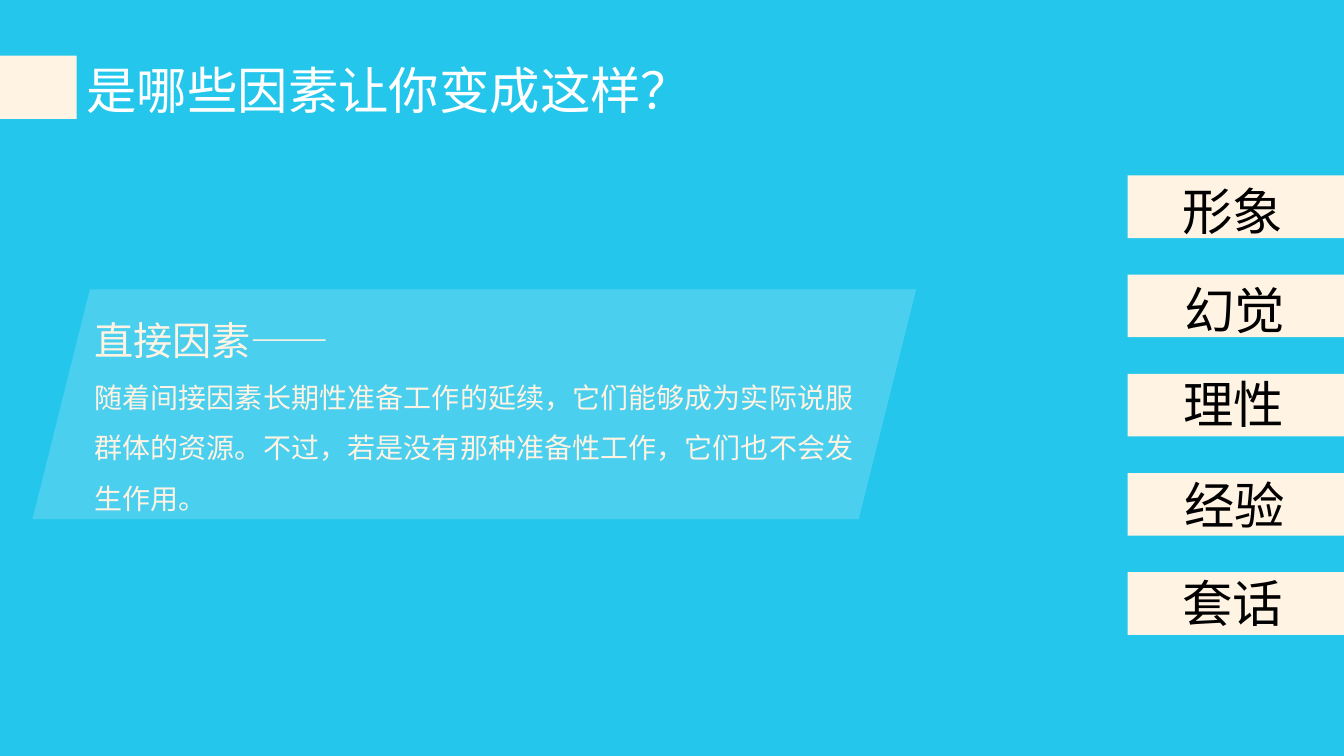
from dataclasses import dataclass

from lxml.etree import SubElement
from pptx import Presentation
from pptx.dml.color import RGBColor
from pptx.enum.shapes import MSO_SHAPE
from pptx.enum.text import MSO_AUTO_SIZE, PP_ALIGN
from pptx.oxml.ns import qn
from pptx.slide import Slide
from pptx.util import Cm, Pt

FONT = "Noto Sans CJK SC"
COLORS = {
    "background": "24C7EB",
    "cream": "FFF3E3",
    "panel": "4ACFEE",
    "white": "FFFFFF",
    "black": "000000",
}
FACTOR_LEFT, FACTOR_TOP, FACTOR_STEP = 28.42, 4.42, 2.5


@dataclass(frozen=True)
class Box:
    """A rectangle on the slide, in centimetres."""
    left: float
    top: float
    width: float
    height: float

    def lengths(self) -> tuple[Cm, Cm, Cm, Cm]:
        return Cm(self.left), Cm(self.top), Cm(self.width), Cm(self.height)


@dataclass(frozen=True)
class Line:
    """One paragraph of uniformly styled text."""
    text: str
    size: int
    color: str


@dataclass(frozen=True)
class Factor:
    """A word in the right-hand column, with its offset from its bar."""
    word: str
    shift_x: float
    shift_y: float


FACTORS = [
    Factor("形象", 1.12, 0),
    Factor("幻觉", 1.17, 0),
    Factor("理性", 1.15, -0.15),
    Factor("经验", 1.17, -0.1),
    Factor("套话", 1.12, -0.12),
]
EXPLANATION = [
    Line("直接因素——", 28, "cream"),
    Line("随着间接因素长期性准备工作的延续，它们能够成为实际说服群体的资源。"
         "不过，若是没有那种准备性工作，它们也不会发生作用。", 20, "cream"),
]


def add_block(slide: Slide, kind: MSO_SHAPE, box: Box, color: str) -> None:
    block = slide.shapes.add_shape(kind, *box.lengths())
    block.shadow.inherit = False
    block.fill.solid()
    block.fill.fore_color.rgb = RGBColor.from_string(COLORS[color])
    block.line.fill.background()


def add_text(slide: Slide, box: Box, lines: list[Line],
             align: PP_ALIGN = PP_ALIGN.LEFT, spacing: float = 1.0) -> None:
    frame = slide.shapes.add_textbox(*box.lengths()).text_frame
    frame.word_wrap = True
    frame.auto_size = MSO_AUTO_SIZE.SHAPE_TO_FIT_TEXT
    for index, line in enumerate(lines):
        paragraph = frame.add_paragraph() if index else frame.paragraphs[0]
        paragraph.alignment = align
        paragraph.line_spacing = spacing
        run = paragraph.add_run()
        run.text = line.text
        run.font.size = Pt(line.size)
        run.font.color.rgb = RGBColor.from_string(COLORS[line.color])
        run.font.name = FONT
        SubElement(run.font._element, qn("a:ea"), typeface=FONT)


def main() -> None:
    presentation = Presentation()
    presentation.slide_width, presentation.slide_height = Cm(33.87), Cm(19.05)
    slide = presentation.slides.add_slide(presentation.slide_layouts[6])
    slide.background.fill.solid()
    slide.background.fill.fore_color.rgb = RGBColor.from_string(COLORS["background"])

    add_block(slide, MSO_SHAPE.RECTANGLE, Box(0, 1.4, 1.93, 1.6), "cream")
    add_text(slide, Box(1.93, 1.37, 15.06, 1.8),
             [Line("是哪些因素让你变成这样？", 36, "white")])

    for index, factor in enumerate(FACTORS):
        top = FACTOR_TOP + index * FACTOR_STEP
        add_block(slide, MSO_SHAPE.RECTANGLE, Box(FACTOR_LEFT, top, 5.45, 1.58), "cream")
        add_text(slide,
                 Box(FACTOR_LEFT + factor.shift_x, top + factor.shift_y, 3.12, 1.8),
                 [Line(factor.word, 36, "black")])

    add_block(slide, MSO_SHAPE.PARALLELOGRAM, Box(0.82, 7.29, 22.27, 5.79), "panel")
    add_text(slide, Box(2.13, 7.26, 19.63, 5.89), EXPLANATION, PP_ALIGN.JUSTIFY, 1.5)

    presentation.save("out.pptx")


if __name__ == "__main__":
    main()
